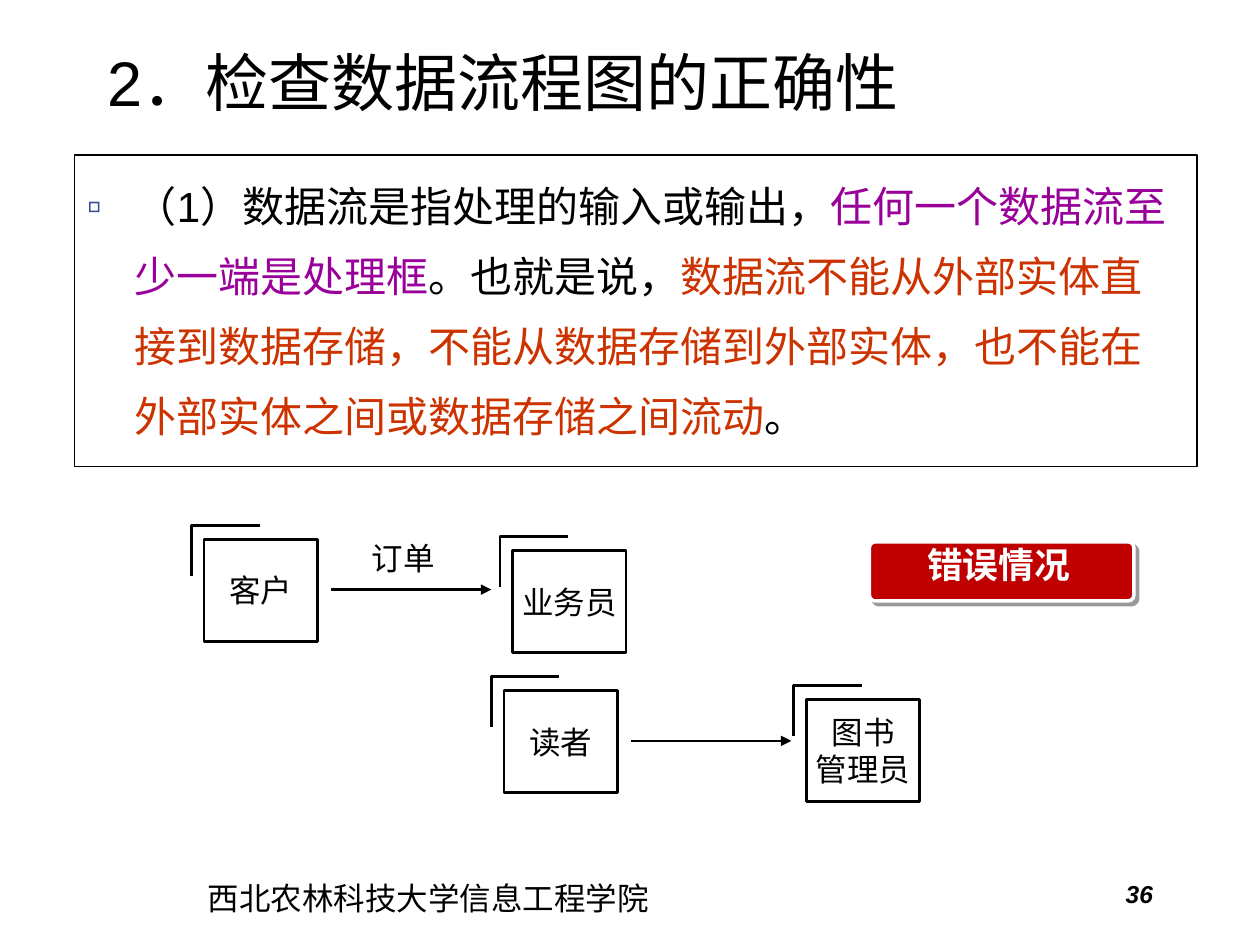
from dataclasses import dataclass

import lxml.etree
import pptx
import pptx.dml.color
import pptx.enum.shapes
import pptx.enum.text
import pptx.oxml.ns
import pptx.util

# The grid: 100 columns by 75 rows on a 10 x 7.5 inch slide
COLS, ROWS = 100, 75
WIDTH, HEIGHT = pptx.util.Inches(10), pptx.util.Inches(7.5)
LATIN, CJK = "Arial", "Noto Sans CJK SC"
ALIGN = pptx.enum.text.PP_ALIGN
ANCHOR = pptx.enum.text.MSO_ANCHOR
SHAPE = pptx.enum.shapes.MSO_SHAPE
qn = pptx.oxml.ns.qn


@dataclass
class Box:
    col: float
    row: float
    cols: float
    rows: float

    def emu(self) -> tuple:
        return x(self.col), y(self.row), x(self.cols), y(self.rows)


@dataclass
class Entity:
    text: str
    col: float
    row: float
    sends: bool = False


ENTITIES = [
    Entity("客户", 16.2, 42.8, sends=True),
    Entity("业务员", 40.7, 43.7),
    Entity("读者", 40, 54.8, sends=True),
    Entity("图书\n管理员", 64, 55.5),
]
RULE = [
    ("（1）数据流是指处理的输入或输出，", "000000"),
    ("任何一个数据流至少一端是处理框", "990099"),
    ("。也就是说，", "000000"),
    ("数据流不能从外部实体直接到数据存储，不能从数据存储到外部实体，"
     "也不能在外部实体之间或数据存储之间流动", "CC3300"),
    ("。", "000000"),
]


def x(cols: float) -> int:
    return round(WIDTH * cols / COLS)


def y(rows: float) -> int:
    return round(HEIGHT * rows / ROWS)


def rgb(value: str):
    return pptx.dml.color.RGBColor.from_string(value)


def add_xml(parent, tag: str, **attrs: str):
    return lxml.etree.SubElement(parent, qn(tag), attrs)


def place(s, box: Box) -> None:
    s.left, s.top, s.width, s.height = box.emu()


def outline(s, width: float, color: str = "000000") -> None:
    s.line.color.rgb = rgb(color)
    s.line.width = pptx.util.Pt(width)


def format_run(r, size: float, font: str = LATIN, color: str = "000000",
               bold: bool = False, italic: bool = False) -> None:
    r.font.size, r.font.name = pptx.util.Pt(size), font
    r.font.bold, r.font.italic = bold, italic
    r.font.color.rgb = rgb(color)
    if font == CJK:
        add_xml(r.font._element, "a:ea", typeface=font)


def write(s, text: str, size: float, align=ALIGN.LEFT, anchor=ANCHOR.TOP,
          wrap: bool = True, **style) -> None:
    tf = s.text_frame
    tf.text = text
    tf.word_wrap, tf.vertical_anchor = wrap, anchor
    tf.auto_size = pptx.enum.text.MSO_AUTO_SIZE.NONE
    for p in tf.paragraphs:
        p.alignment = align
        for r in p.runs:
            format_run(r, size, **style)


def add_label(slide, box: Box, text: str, size: float, **style):
    s = slide.shapes.add_textbox(*box.emu())
    write(s, text, size, **style)
    return s


def add_rule(s) -> None:
    tf = s.text_frame
    tf.auto_size = pptx.enum.text.MSO_AUTO_SIZE.NONE
    p = tf.paragraphs[0]
    p.line_spacing, p.space_before = pptx.util.Pt(40), pptx.util.Pt(0)
    for text, color in RULE:
        r = p.add_run()
        r.text = text
        format_run(r, 24, color=color)
    pPr = p._p.get_or_add_pPr()
    pPr.set("marL", str(x(3.8)))
    pPr.set("indent", str(-x(3.8)))
    add_xml(add_xml(pPr, "a:buClr"), "a:srgbClr", val="374D95")
    add_xml(pPr, "a:buFont", typeface=LATIN)
    add_xml(pPr, "a:buChar", char="▫")


def add_entity(slide, entity: Entity) -> None:
    # Outgoing flow
    if entity.sends:
        start, level = entity.col + 10.1, y(entity.row + 4)
        arrow = slide.shapes.add_connector(
            pptx.enum.shapes.MSO_CONNECTOR.STRAIGHT,
            x(start), level, x(start + 12.7), level)
        outline(arrow, 1.5)
        add_xml(arrow.line._get_or_add_ln(), "a:tailEnd", type="triangle")
        add_xml(arrow._element.spPr, "a:effectLst")
    # Corner behind the box
    left, top = entity.col - 1, entity.row - 1.1
    builder = slide.shapes.build_freeform(x(left), y(top + 4))
    builder.add_line_segments(
        [(x(left), y(top)), (x(left + 5.4), y(top))], close=False)
    corner = builder.convert_to_shape()
    # Box
    s = slide.shapes.add_shape(
        SHAPE.RECTANGLE, *Box(entity.col, entity.row, 9, 8.1).emu())
    for part in (corner, s):
        part.fill.background()
        outline(part, 1.5)
        part.shadow.inherit = False
    write(s, entity.text, 18, align=ALIGN.CENTER, anchor=ANCHOR.MIDDLE,
          wrap=False, font=CJK)


def add_badge(slide) -> None:
    s = slide.shapes.add_shape(SHAPE.ROUNDED_RECTANGLE, *Box(69, 43, 21, 4.7).emu())
    s.adjustments[0] = 0.1
    s.fill.solid()
    s.fill.fore_color.rgb = rgb("C00000")
    outline(s, 2, "FFFFFF")
    s.shadow.inherit = False
    shadow = add_xml(s._element.spPr.find(qn("a:effectLst")), "a:outerShdw",
                     blurRad="0", dist=str(pptx.util.Pt(3)), dir="2700000",
                     algn="ctr", rotWithShape="0")
    color = add_xml(shadow, "a:srgbClr", val="000000")
    add_xml(color, "a:alpha", val="40000")
    label = add_label(slide, Box(69.3, 43.5, 19.9, 3.6), "错误情况", 20.4,
                      align=ALIGN.CENTER, font=CJK, color="FFFFFF", bold=True)
    p = label.text_frame.paragraphs[0]
    p.line_spacing, p.space_before = 0.7, pptx.util.Pt(7.1)


def main() -> None:
    prs = pptx.Presentation()
    prs.slide_width, prs.slide_height = WIDTH, HEIGHT
    slide = prs.slides.add_slide(prs.slide_layouts[1])
    title, body = slide.placeholders

    # Title and rule
    place(title, Box(7.5, 3, 87.5, 6.9))
    write(title, "2．检查数据流程图的正确性", 36, anchor=ANCHOR.MIDDLE)
    place(body, Box(5.9, 12.3, 89.1, 24.7))
    outline(body, 0.75)
    add_rule(body)

    # Examples of wrong flows
    for entity in ENTITIES:
        add_entity(slide, entity)
    add_label(slide, Box(27.1, 42.3, 9.8, 4), "订单", 18,
              align=ALIGN.CENTER, font=CJK)
    add_badge(slide)

    # Footer
    add_label(slide, Box(15.5, 69.3, 66.1, 5.2), "西北农林科技大学信息工程学院", 18)
    add_label(slide, Box(69.2, 69.3, 23.3, 5.2), "36", 14,
              align=ALIGN.RIGHT, bold=True, italic=True)
    prs.save("out.pptx")


if __name__ == "__main__":
    main()
